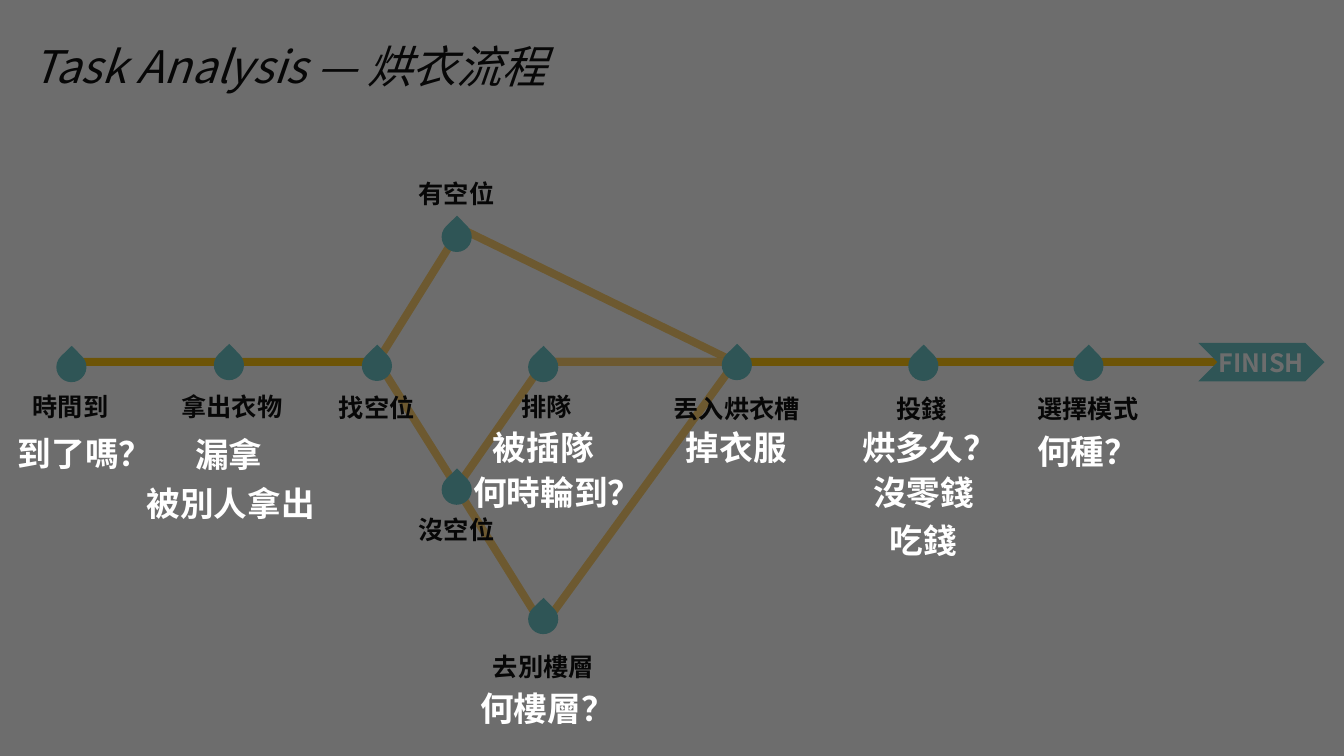
from math import atan2, degrees, hypot
from lxml.etree import SubElement
from pptx import Presentation
from pptx.dml.color import RGBColor
from pptx.enum.shapes import MSO_SHAPE as Shape
from pptx.enum.text import MSO_ANCHOR as Anchor, MSO_AUTO_SIZE as AutoSize, PP_ALIGN as Align
from pptx.oxml.ns import qn
from pptx.util import Cm, Pt

BLACK = RGBColor(0x00, 0x00, 0x00)
WHITE = RGBColor(0xFF, 0xFF, 0xFF)
SHADE = RGBColor(0x0D, 0x0D, 0x0D)
TEAL = RGBColor(0x63, 0xC3, 0xC5)
GOLD = RGBColor(0xFF, 0xC0, 0x00)
SAND = RGBColor(0xFF, 0xCC, 0x66)
TITLE_FONT, TEXT_FONT = "Noto Sans CJK JP", "Noto Sans CJK SC"

# All positions are in centimetres
BAR, DROP, LINE_Y = 0.2, 0.76, 9.12
BRANCHES = [(13.89, 15.5, 18.59, 9.04), (11.53, 12.33, 13.64, 15.71),
            (9.52, 9.11, 11.64, 12.48), (9.42, 9.26, 11.53, 5.88),
            (11.63, 5.77, 18.82, 9.27)]
QUEUE = [(13.7, 9.14, 11.42, 12.41), (18.67, LINE_Y, 13.67, LINE_Y)]
# Step: drop centre, label, label centre and top
STEPS = [
    (1.8, 9.25, "時間到", 1.78, 9.73),
    (5.77, 9.2, "拿出衣物", 5.85, 9.73),
    (9.5, 9.22, "找空位", 9.5, 9.75),
    (11.51, 5.97, "有空位", 11.51, 4.37),
    (11.51, 12.34, "沒空位", 11.51, 12.83),
    (13.69, 9.25, "排隊", 13.78, 9.73),
    (13.69, 15.6, "去別樓層", 13.7, 16.28),
    (18.57, 9.2, "丟入烘衣槽", 18.57, 9.78),
    (23.27, 9.22, "投錢", 23.23, 9.78),
    (27.43, 9.22, "選擇模式", 27.42, 9.78),
]
# Problem: text, centre, top
PROBLEMS = [
    ("到了嗎？", 2.15, 10.77), ("漏拿", 5.77, 10.8), ("被別人拿出", 5.82, 12.04),
    ("被插隊", 13.7, 10.62), ("何時輪到？", 14.05, 11.76), ("何樓層？", 13.8, 17.22),
    ("掉衣服", 18.56, 10.62), ("烘多久？", 23.43, 10.62), ("沒零錢", 23.28, 11.76),
    ("吃錢", 23.27, 12.98), ("何種？", 27.42, 10.72),
]


def write(shape, text, size, color, font, bold=False, italic=False, align=Align.LEFT):
    frame = shape.text_frame
    frame.text = text
    frame.word_wrap = False
    frame.auto_size = AutoSize.NONE
    frame.vertical_anchor = Anchor.MIDDLE
    para = frame.paragraphs[0]
    para.alignment = align
    for span in para.runs:
        span.font.size = Pt(size)
        span.font.bold, span.font.italic = bold, italic
        span.font.color.rgb = color
        span.font.name = font
        SubElement(span.font._element, qn("a:ea"), typeface=font)


def add_filled(page, kind, left, top, width, height, color):
    shape = page.shapes.add_shape(kind, Cm(left), Cm(top), Cm(width), Cm(height))
    shape.shadow.inherit = False
    shape.fill.solid()
    shape.fill.fore_color.rgb = color
    shape.line.fill.background()
    return shape


def add_bar(page, x1, y1, x2, y2, color):
    length = hypot(x2 - x1, y2 - y1)
    left, top = (x1 + x2 - length) / 2, (y1 + y2 - BAR) / 2
    bar = add_filled(page, Shape.RECTANGLE, left, top, length, BAR, color)
    bar.rotation = degrees(atan2(y2 - y1, x2 - x1))


def add_drop(page, x, y):
    drop = add_filled(page, Shape.TEAR, x - DROP / 2, y - DROP / 2, DROP, DROP, TEAL)
    drop.rotation = 316


def add_caption(page, text, center, top, size, color):
    width = len(text) * Pt(size).cm + 0.51
    height = 1.02 if size < 20 else 1.27
    box = page.shapes.add_textbox(Cm(center - width / 2), Cm(top), Cm(width), Cm(height))
    write(box, text, size, color, TEXT_FONT, bold=True)


def add_title(page, text):
    title = page.shapes.title
    title.left, title.top, title.width, title.height = Cm(0.56), Cm(0.84), Cm(14.33), Cm(1.63)
    write(title, text, 32, BLACK, TITLE_FONT, italic=True)


def add_shade(page):
    shade = add_filled(page, Shape.RECTANGLE, -0.03, -0.05, 33.91, 19.1, SHADE)
    color = shade.fill._xPr.find(qn("a:solidFill"))[0]
    SubElement(color, qn("a:alpha"), val="60000")


def main():
    deck = Presentation()
    deck.slide_width, deck.slide_height = Cm(33.87), Cm(19.05)
    page = deck.slides.add_slide(deck.slide_layouts[5])
    add_title(page, "Task Analysis — 烘衣流程")

    # Flow lines, with a gap in the main line between the branches
    for ends in BRANCHES:
        add_bar(page, *ends, SAND)
    add_bar(page, 1.75, LINE_Y, 31.75, LINE_Y, GOLD)
    add_filled(page, Shape.RECTANGLE, 9.4, 8.92, 3.99, 0.43, WHITE)
    for ends in QUEUE:
        add_bar(page, *ends, SAND)

    # Steps and finish
    for x, y, label, center, top in STEPS:
        add_drop(page, x, y)
        add_caption(page, label, center, top, 18, BLACK)
    finish = add_filled(page, Shape.CHEVRON, 30.2, 8.64, 3.18, 0.97, TEAL)
    write(finish, "FINISH", 18, WHITE, TEXT_FONT, bold=True, align=Align.CENTER)

    # Shade over the flow, then the problems at each step
    add_shade(page)
    for text, center, top in PROBLEMS:
        add_caption(page, text, center, top, 24, WHITE)
    deck.save("out.pptx")


if __name__ == "__main__":
    main()
